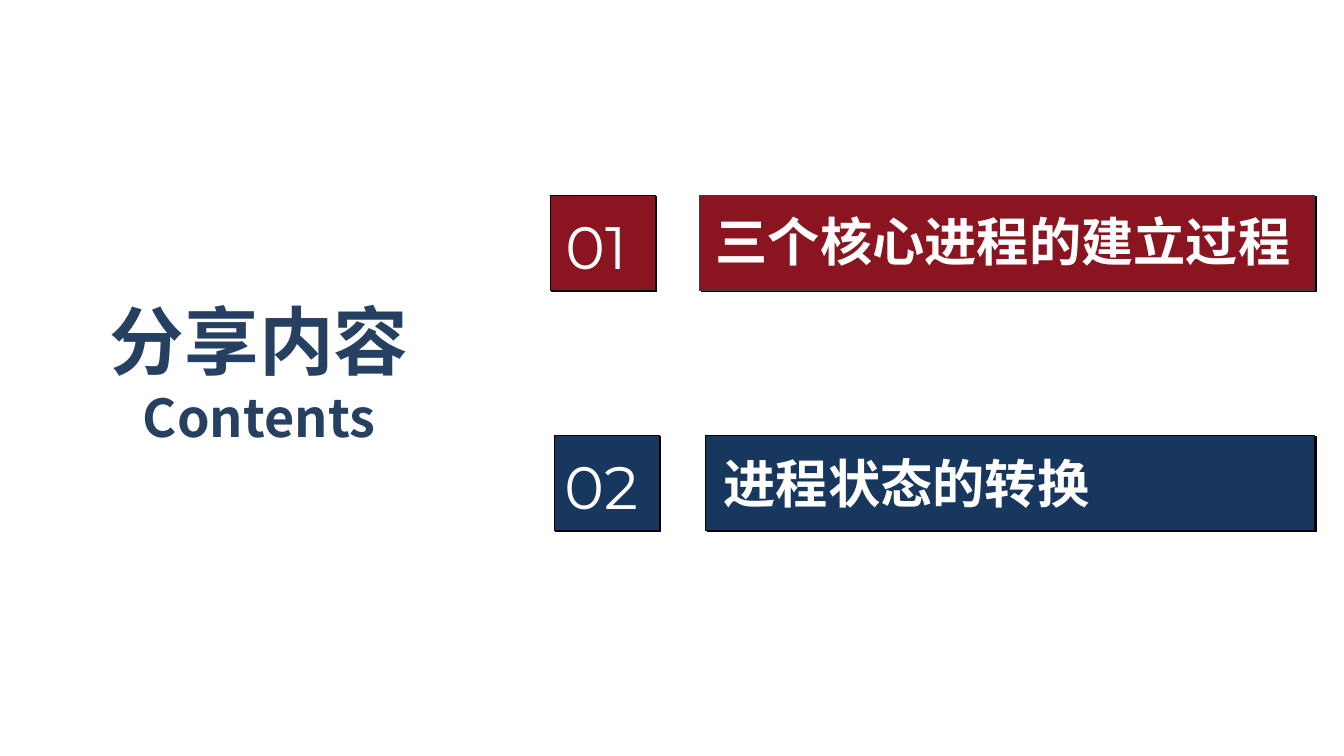
from dataclasses import dataclass

from lxml import etree
from pptx import Presentation
from pptx.dml.color import RGBColor
from pptx.enum.shapes import MSO_SHAPE
from pptx.enum.text import MSO_ANCHOR, MSO_AUTO_SIZE, PP_ALIGN
from pptx.oxml.ns import qn
from pptx.util import Inches, Pt

RECTANGLE = MSO_SHAPE.RECTANGLE
TOP = MSO_ANCHOR.TOP
GROW = MSO_AUTO_SIZE.SHAPE_TO_FIT_TEXT
LEFT, CENTER = PP_ALIGN.LEFT, PP_ALIGN.CENTER
TITLE_ONLY = 5


@dataclass(frozen=True)
class Theme:
    """Colours, fonts and type sizes of the contents slide."""
    red: str = "8A1420"
    navy: str = "17375E"
    heading: str = "254061"
    white: str = "FFFFFF"
    black: str = "000000"
    slate: str = "323F4F"
    number_font: str = "Montserrat"
    text_font: str = "Noto Sans CJK SC"
    title_size: float = 53.3
    number_size: float = 42.7
    item_size: float = 37.3


THEME = Theme()


def write_text(shape, lines, *, sizes, color, font=THEME.text_font,
               bold=False, align=LEFT, wrap=True):
    """Write one paragraph per line, each with its own type size."""
    frame = shape.text_frame
    frame.text = "\n".join(lines)
    frame.word_wrap = wrap
    frame.auto_size = GROW
    frame.vertical_anchor = TOP
    for paragraph, size in zip(frame.paragraphs, sizes):
        paragraph.alignment = align
        paragraph.space_before = Pt(0)
        for run in paragraph.runs:
            run.font.size = Pt(size)
            run.font.name = font
            run.font.bold = bold
            run.font.color.rgb = RGBColor.from_string(color)
            east_asian = etree.SubElement(run.font._element, qn("a:ea"))
            east_asian.set("typeface", font)


def add_hard_shadow(shape):
    """Give the shape a sharp black shadow to the lower right."""
    shape.shadow.inherit = False
    effects = shape._element.spPr.find(qn("a:effectLst"))
    shadow = etree.SubElement(effects, qn("a:outerShdw"), blurRad="0",
                              dist=str(Pt(1.4)), dir=str(45 * 60000),
                              algn="tl", rotWithShape="0")
    etree.SubElement(shadow, qn("a:srgbClr"), val=THEME.black)


def add_panel(slide, box, fill, line):
    """Add a filled, outlined rectangle with a hard shadow."""
    panel = slide.shapes.add_shape(RECTANGLE, *map(Inches, box))
    panel.fill.solid()
    panel.fill.fore_color.rgb = RGBColor.from_string(fill)
    panel.line.color.rgb = RGBColor.from_string(line)
    panel.line.width = Pt(0.75)
    add_hard_shadow(panel)


def add_label(slide, box, text, size, **text_format):
    """Add a white one-line text box."""
    label = slide.shapes.add_textbox(*map(Inches, box))
    write_text(label, [text], sizes=[size], color=THEME.white, **text_format)


def add_heading(slide, box):
    """Place the two-line heading in the title placeholder."""
    title = slide.shapes.title
    title.left, title.top, title.width, title.height = map(Inches, box)
    write_text(title, ["分享内容", "Contents"],
               sizes=[THEME.title_size, THEME.item_size],
               color=THEME.heading, bold=True, align=CENTER, wrap=False)


def add_entry(slide, box, number, text, *, fill, bar_line, bar_offset,
              number_inset, text_inset, text_drop):
    """Add a numbered square and its text bar inside the given box."""
    left, top, width, height = box
    bar_left, bar_width = left + bar_offset, width - bar_offset
    add_panel(slide, (left, top, 1.04, height), fill, THEME.black)
    add_label(slide, (left + number_inset, top + 0.09, 1.12, 0.82), number,
              THEME.number_size, font=THEME.number_font)
    add_panel(slide, (bar_left, top, bar_width, height), fill, bar_line)
    add_label(slide, (bar_left + text_inset, top + text_drop,
                      bar_width - text_inset, 0.73),
              text, THEME.item_size, bold=True)


def build_contents(slide):
    """Build the contents slide from its heading and two entries."""
    add_heading(slide, (0.97, 2.88, 3.2, 1.63))
    add_entry(slide, (5.46, 1.94, 7.58, 0.94), "01", "三个核心进程的建立过程",
              fill=THEME.red, bar_line=THEME.slate, bar_offset=1.48,
              number_inset=0.05, text_inset=0.06, text_drop=0.09)
    add_entry(slide, (5.5, 4.32, 7.54, 0.94), "02", "进程状态的转换",
              fill=THEME.navy, bar_line=THEME.black, bar_offset=1.5,
              number_inset=0, text_inset=0.08, text_drop=0.11)


def main():
    """Create and save the presentation."""
    presentation = Presentation()
    presentation.slide_width = Inches(13.33)
    presentation.slide_height = Inches(7.5)
    layout = presentation.slide_layouts[TITLE_ONLY]
    build_contents(presentation.slides.add_slide(layout))
    presentation.save("out.pptx")


if __name__ == "__main__":
    main()
